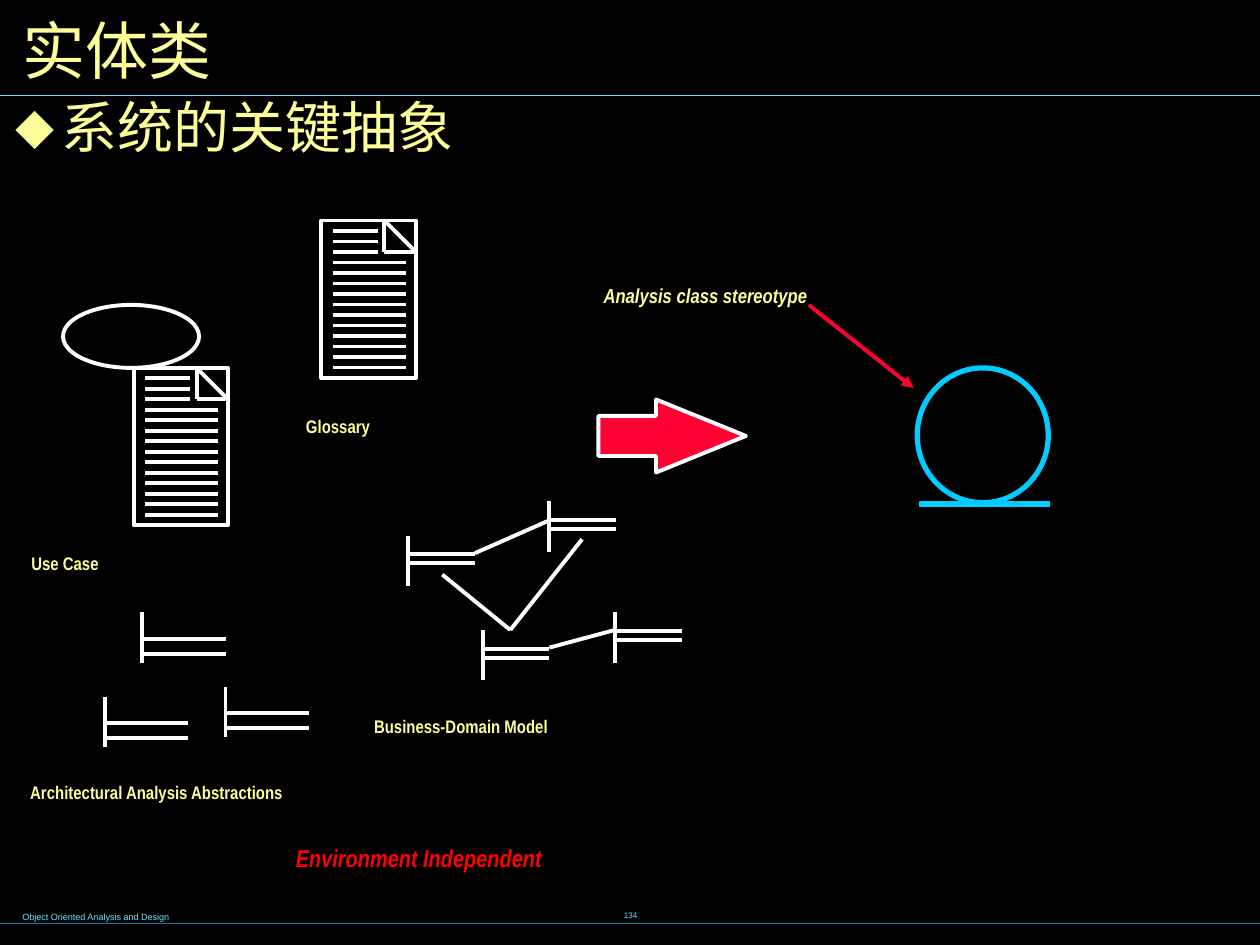
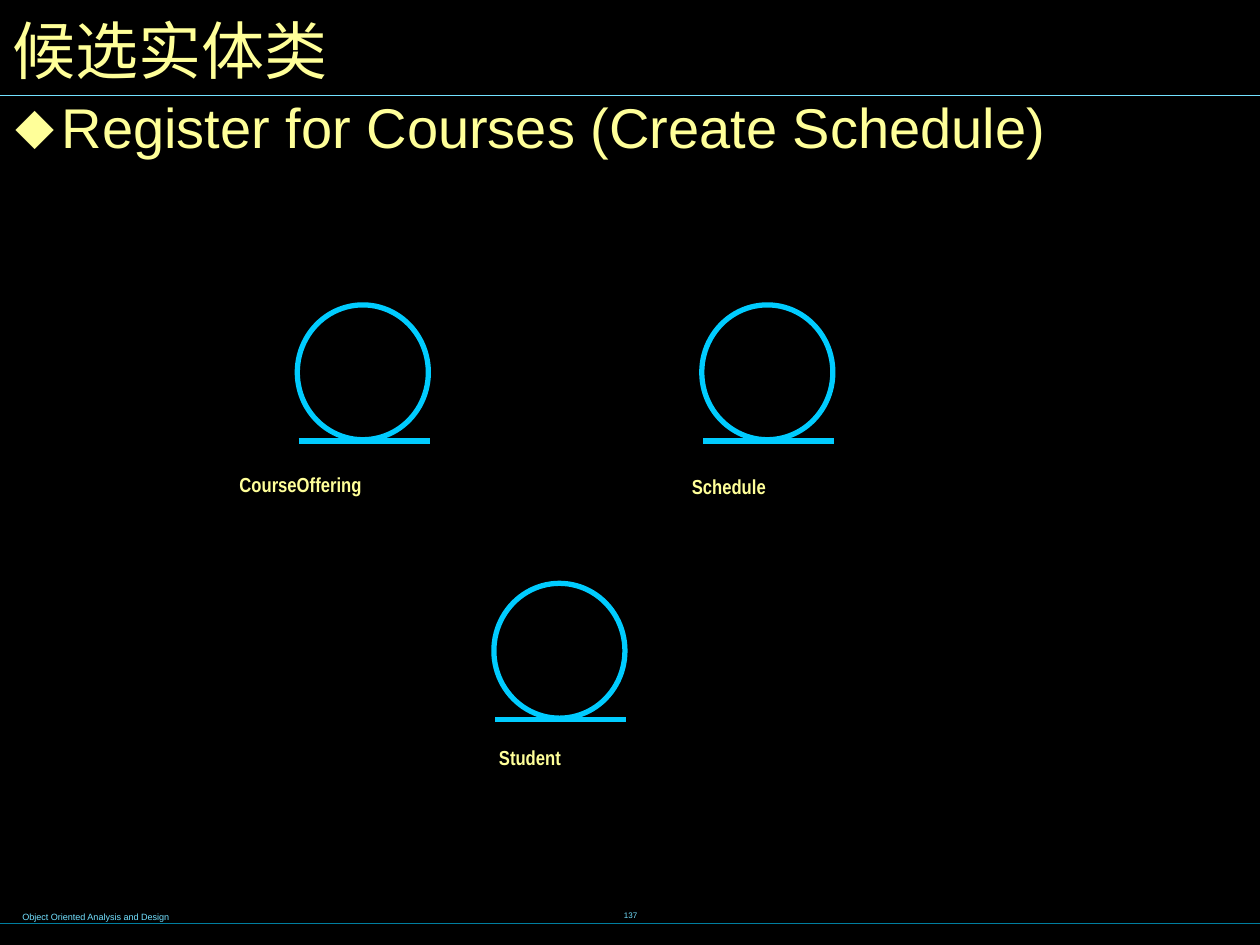
from lxml.etree import SubElement
from pptx import Presentation
from pptx.dml.color import RGBColor
from pptx.enum.shapes import MSO_CONNECTOR as Connector, MSO_SHAPE as Shape
from pptx.enum.text import MSO_ANCHOR as Anchor, PP_ALIGN as Align
from pptx.oxml.ns import qn
from pptx.util import Inches, Pt

BLACK = RGBColor(0x00, 0x00, 0x00)
WHITE = RGBColor(0xFF, 0xFF, 0xFF)
CREAM = RGBColor(0xFF, 0xFF, 0x99)
SKY = RGBColor(0x73, 0xE1, 0xFF)
TEAL = RGBColor(0x00, 0x7E, 0x9F)
CYAN = RGBColor(0x00, 0xCC, 0xFF)
CRIMSON = RGBColor(0xFF, 0x00, 0x33)
RED = RGBColor(0xFF, 0x00, 0x00)

NORMAL, WIDE, NONE = (0.1, 0.05), (0.12, 0.06), (0, 0)
LABEL = {"size": Pt(18), "name": "Arial Narrow", "bold": True}
CLASS_LABEL = {**LABEL, "size": Pt(20)}
STEREOTYPE = {**CLASS_LABEL, "italic": True}
CALLOUT = {**STEREOTYPE, "size": Pt(24)}
TITLE = {"size": Pt(36), "name": "Arial Narrow"}
BODY = {"size": Pt(32), "name": "Arial"}
FOOTER = {"size": Pt(9), "name": "Arial"}
NUMBER = {**FOOTER, "size": Pt(8)}


def add_text(page, box, text, style, color=CREAM, inset=NORMAL, lowered=True,
             anchor=Anchor.TOP, align=Align.LEFT):
    """Add one line of styled text and return its paragraph."""
    frame = page.shapes.add_textbox(*map(Inches, box)).text_frame
    across, down = map(Inches, inset)
    layout = {"word_wrap": True, "vertical_anchor": anchor,
              "margin_left": across, "margin_right": across,
              "margin_top": down, "margin_bottom": down}
    for name, value in layout.items():
        setattr(frame, name, value)
    para = frame.paragraphs[0]
    para.alignment = align
    span = para.add_run()
    span.text = text
    for name, value in style.items():
        setattr(span.font, name, value)
    span.font.color.rgb = color
    if lowered:
        span._r.get_or_add_rPr().set("baseline", "-25000")
    return para


def add_line(page, start, end, color=WHITE, width=2.25, arrow=False):
    """Draw a straight line, with an arrowhead at its end on request."""
    line = page.shapes.add_connector(Connector.STRAIGHT,
                                     *map(Inches, (*start, *end)))
    line.line.color.rgb = color
    line.line.width = Pt(width)
    if arrow:
        SubElement(line.line._get_or_add_ln(), qn("a:tailEnd"), type="triangle")
    SubElement(line._element.spPr, qn("a:effectLst"))


def add_outline(page, kind, box, color=WHITE, width=2.25, fill=None):
    """Draw a preset shape with an outline and an optional fill."""
    shape = page.shapes.add_shape(kind, *map(Inches, box))
    shape.shadow.inherit = False
    shape.line.color.rgb = color
    shape.line.width = Pt(width)
    if fill is None:
        shape.fill.background()
    else:
        shape.fill.solid()
        shape.fill.fore_color.rgb = fill
    return shape


def add_document(page, left, top):
    """Draw a text document with a folded corner."""
    add_outline(page, Shape.RECTANGLE, (left, top, 0.75, 1.25))
    fold = left + 0.5, top
    corner = left + 0.5, top + 0.25
    edge = left + 0.75, top + 0.25
    for start, end in ((fold, edge), (fold, corner), (edge, corner)):
        add_line(page, start, end)
    for row in range(1, 15):
        y = top + row / 12
        add_line(page, (left + 0.09, y), (left + (0.45 if row <= 3 else 0.67), y))


def add_abstraction(page, left, top, length, rows):
    """Draw an upright bar with two horizontal strokes."""
    add_line(page, (left, top), (left, top + 0.4))
    for row in rows:
        add_line(page, (left, top + row), (left + length, top + row))


def add_entity(page, left, top):
    """Draw the entity class symbol, a circle resting on a line."""
    add_outline(page, Shape.OVAL, (left, top, 1.04, 1.07), CYAN, 3)
    add_line(page, (left + 0.01, top + 1.08), (left + 1.05, top + 1.08), CYAN, 3)


def add_use_case(page, left, top):
    """Draw a use case oval with its description."""
    add_outline(page, Shape.OVAL, (left, top, 1.08, 0.5))
    add_document(page, left + 0.56, top + 0.5)
    add_text(page, (left - 0.35, top + 1.75, 2.75, 0.4), "Use Case", LABEL)


def add_glossary(page, left, top):
    """Draw the glossary document and its label."""
    add_document(page, left, top)
    add_text(page, (left - 0.22, top + 1.33, 1.09, 0.4), "Glossary", LABEL)


def add_domain_model(page, left, top):
    """Draw four linked domain classes and their label."""
    for x, y in ((0, 0.27), (1.12, 0), (0.59, 1.02), (1.64, 0.88)):
        add_abstraction(page, left + x, top + y, 0.53, (0.15, 0.22))
    links = (((0.81, 1.02), (0.27, 0.58)), ((0.53, 0.41), (1.12, 0.15)),
             ((1.12, 1.16), (1.64, 1.02)), ((0.81, 1.02), (1.38, 0.3)))
    for link in links:
        add_line(page, *((left + x, top + y) for x, y in link))
    add_text(page, (left - 0.37, top + 1.48, 2.61, 0.4),
             "Business-Domain Model", LABEL)


def add_architecture(page, left, top):
    """Draw three architectural abstractions and their label."""
    for x, y in ((0.3, 0), (0.96, 0.59), (0, 0.67)):
        add_abstraction(page, left + x, top + y, 0.66, (0.21, 0.33))
    add_text(page, (left - 0.71, top + 1.11, 3.04, 0.72),
             "Architectural Analysis Abstractions", LABEL, inset=WIDE)


def add_page(deck, number, title, title_left, body):
    """Add a page with its rules, footer, title and bullet line."""
    page = deck.slides.add_slide(deck.slide_layouts[6])
    page.background.fill.solid()
    page.background.fill.fore_color.rgb = BLACK
    add_text(page, (0.08, 7.1, 5.1, 0.25), "Object Oriented Analysis and Design",
             FOOTER, SKY)
    add_text(page, (3.42, 6.98, 3.17, 0.5), number, NUMBER, SKY,
             anchor=Anchor.MIDDLE, align=Align.CENTER)
    for y, color in ((7.33, TEAL), (0.76, SKY)):
        add_line(page, (0, y), (10, y), color, 0.75)
    add_text(page, (title_left, 0, 9.84, 0.78), title, TITLE, lowered=False,
             anchor=Anchor.MIDDLE)
    para = add_text(page, (0, 0.78, 9.28, 5.52), body, BODY, inset=WIDE,
                    lowered=False)
    para.line_spacing = 0.8
    props = para._p.get_or_add_pPr()
    props.set("marL", str(Inches(0.37)))
    props.set("indent", str(-Inches(0.37)))
    SubElement(SubElement(props, qn("a:buClr")), qn("a:srgbClr"), val=str(CREAM))
    SubElement(props, qn("a:buFont"), typeface="Arial")
    SubElement(props, qn("a:buChar"), char="⬥")
    return page


def build_sources_page(deck):
    """Show the sources from which entity classes are found."""
    page = add_page(deck, "134", "实体类", 0.08, "系统的关键抽象")
    add_glossary(page, 2.55, 1.75)
    arrow = add_outline(page, Shape.RIGHT_ARROW, (4.75, 3.17, 1.17, 0.58),
                        fill=CRIMSON)
    arrow.adjustments[0], arrow.adjustments[1] = 0.55, 1.23
    add_domain_model(page, 3.24, 3.98)
    add_text(page, (2.25, 6.42, 5.67, 0.5), "Environment Independent", CALLOUT, RED)
    add_text(page, (4.67, 2, 2.33, 0.78), "Analysis class stereotype", STEREOTYPE,
             inset=WIDE)
    add_line(page, (6.42, 2.42), (7.25, 3.08), CRIMSON, arrow=True)
    add_use_case(page, 0.5, 2.42)
    add_architecture(page, 0.83, 4.86)
    add_entity(page, 7.28, 2.92)


def build_candidates_page(deck):
    """Show the candidate entity classes of one use case."""
    page = add_page(deck, "137", "候选实体类", 0,
                    "Register for Courses (Create Schedule)")
    candidates = (("Student", 3.92, 4.63, 0.04, 1.1),
                  ("Schedule", 5.57, 2.42, -0.08, 1.16),
                  ("CourseOffering", 2.36, 2.42, -0.46, 1.14))
    for name, left, top, across, down in candidates:
        add_text(page, (left + across, top + down, 1.69, 0.34), name,
                 CLASS_LABEL, inset=NONE)
        add_entity(page, left, top)


def main():
    """Build the deck and save it."""
    deck = Presentation()
    deck.slide_width, deck.slide_height = Inches(10), Inches(7.5)
    build_sources_page(deck)
    build_candidates_page(deck)
    deck.save("out.pptx")


if __name__ == "__main__":
    main()
